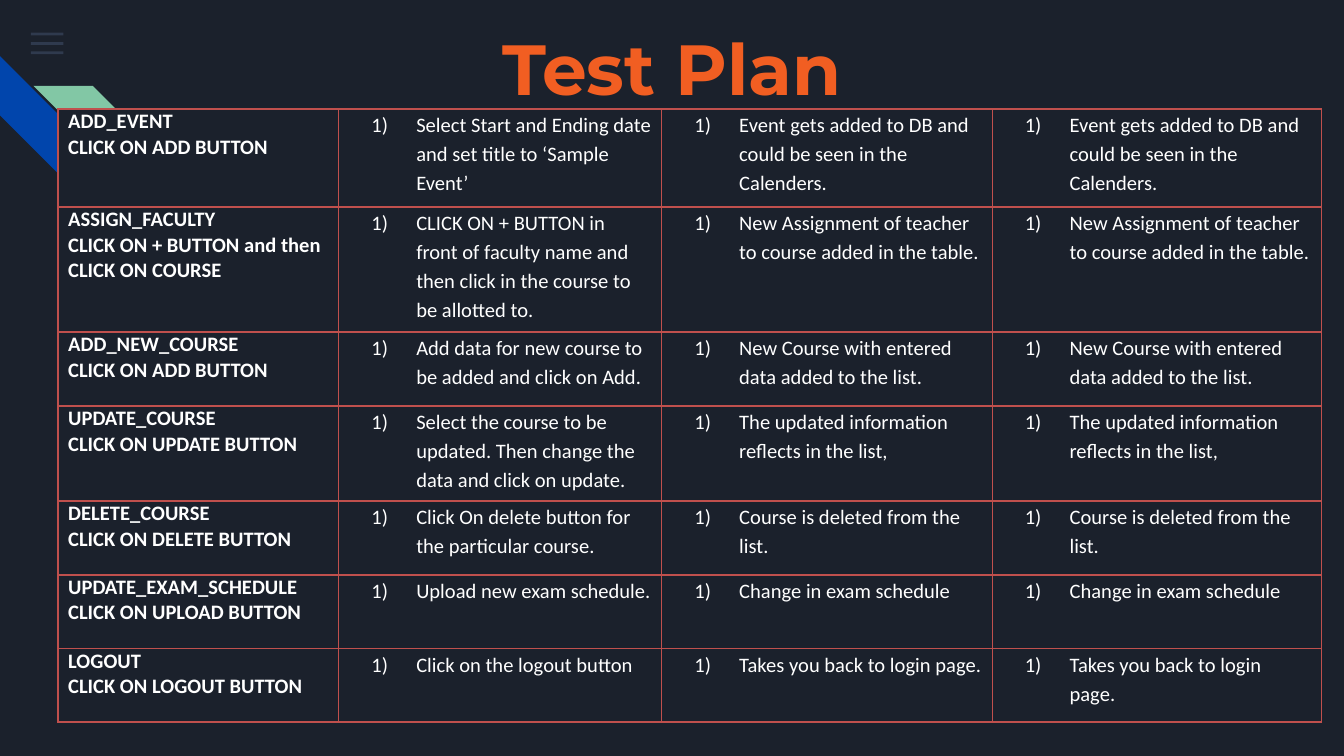
"""Build the Test Plan slide with its table of test cases."""
from dataclasses import dataclass

from lxml import etree
from pptx import Presentation
from pptx.dml.color import RGBColor
from pptx.enum.shapes import MSO_SHAPE
from pptx.enum.text import MSO_ANCHOR, MSO_AUTO_SIZE, PP_ALIGN
from pptx.oxml.ns import qn
from pptx.util import Pt

PX = 6350
WIDTH, HEIGHT = 1440, 810
RECT, STRIPE = MSO_SHAPE.RECTANGLE, MSO_SHAPE.DIAGONAL_STRIPE
MIDDLE, CENTER, NO_FIT = MSO_ANCHOR.MIDDLE, PP_ALIGN.CENTER, MSO_AUTO_SIZE.NONE


@dataclass(frozen=True)
class Theme:
    dark: str = "1B212C"
    title: str = "F15E22"
    text: str = "FFFFFF"
    border: str = "C0504D"
    menu: str = "55688B"
    blue: str = "0145AC"
    green: str = "82C7A5"
    heading: str = "Montserrat"
    body: str = "Calibri"
    title_pt: int = 38
    body_pt: int = 11


@dataclass(frozen=True)
class Decor:
    kind: int
    box: tuple[int, int, int, int]
    color: str
    alpha: int = 100
    rotation: int = 0
    flip: bool = False


@dataclass(frozen=True)
class Case:
    name: str
    action: str
    step: str
    outcome: str
    height: int
    after: int = 10


T = Theme()
TITLE_FONT = {"name": T.heading, "size": Pt(T.title_pt), "bold": True}
NAME_FONT = {"name": T.body, "size": Pt(T.body_pt), "bold": True}
STEP_FONT = {**NAME_FONT, "bold": False}
MARGINS = {"margin_left": 11 * PX, "margin_right": 11 * PX, "margin_top": 0, "margin_bottom": 0}
INDENT = {"marL": 72 * PX, "indent": -48 * PX}
COLS = (301, 346, 354, 353)

DECOR = [Decor(RECT, (33, y, 35, 3), T.menu, alpha=36) for y in (35, 45, 55)] + [
    Decor(STRIPE, (0, 60, 127, 127), T.blue, rotation=270),
    Decor(STRIPE, (36, 92, 127, 127), T.green, flip=True),
]

CASES = [
    Case("ADD_EVENT", "CLICK ON ADD BUTTON",
         "Select Start and Ending date and set title to ‘Sample Event’",
         "Event gets added to DB and could be seen in the Calenders.", 105, 0),
    Case("ASSIGN_FACULTY", "CLICK ON + BUTTON and then CLICK ON COURSE",
         "CLICK ON + BUTTON in front of faculty name and then click in the course to be allotted to.",
         "New Assignment of teacher to course added in the table.", 134),
    Case("ADD_NEW_COURSE", "CLICK ON ADD BUTTON",
         "Add data for new course to be added and click on Add.",
         "New Course with entered data added to the list.", 79),
    Case("UPDATE_COURSE", "CLICK ON UPDATE BUTTON",
         "Select the course to be updated. Then change the data and click on update.",
         "The updated information reflects in the list,", 102),
    Case("DELETE_COURSE", "CLICK ON DELETE BUTTON",
         "Click On delete button for the particular course.",
         "Course is deleted from the list.", 79),
    Case("UPDATE_EXAM_SCHEDULE", "CLICK ON UPLOAD BUTTON",
         "Upload new exam schedule.", "Change in exam schedule", 79),
    Case("LOGOUT", "CLICK ON LOGOUT BUTTON",
         "Click on the logout button", "Takes you back to login page.", 79, 0),
]


def apply(obj, values: dict) -> None:
    """Set each named attribute on an object."""
    for name, value in values.items():
        setattr(obj, name, value)


def paint(fill, color: str) -> None:
    """Give a fill one solid colour."""
    fill.solid()
    fill.fore_color.rgb = RGBColor.from_string(color)


def add_run(p, text: str, font: dict, color: str) -> None:
    """Add a formatted run to a paragraph."""
    r = p.add_run()
    r.text = text
    apply(r.font, font)
    r.font.color.rgb = RGBColor.from_string(color)


def add_color(parent, color: str) -> None:
    """Append an RGB colour element."""
    etree.SubElement(parent, qn("a:srgbClr"), val=color)


def draw_decor(s, d: Decor) -> None:
    """Draw one decorative shape."""
    sp = s.shapes.add_shape(d.kind, *(v * PX for v in d.box))
    sp.shadow.inherit = False
    sp.rotation = d.rotation
    paint(sp.fill, d.color)
    sp.line.fill.background()
    if d.flip:
        sp._element.spPr.find(qn("a:xfrm")).set("flipH", "1")
    if d.alpha < 100:
        clr = sp._element.spPr.find(".//" + qn("a:srgbClr"))
        etree.SubElement(clr, qn("a:alpha"), val=str(d.alpha * 1000))


def draw_title(s, text: str) -> None:
    """Place and format the slide title."""
    sp = s.shapes.title
    apply(sp, {"left": 0, "top": 0, "width": WIDTH * PX, "height": 144 * PX})
    tf = sp.text_frame
    apply(tf, {"word_wrap": True, "auto_size": NO_FIT, "vertical_anchor": MIDDLE})
    apply(tf, dict.fromkeys(MARGINS, 14 * PX))
    p = tf.paragraphs[0]
    p.alignment = CENTER
    add_run(p, text, TITLE_FONT, T.title)


def style_cell(cell, col: int) -> None:
    """Set the margins, borders and fill of a cell."""
    apply(cell, MARGINS)
    tc_pr = cell._tc.get_or_add_tcPr()
    thick_sides = {"L": col == 0, "R": col == len(COLS) - 1, "T": True, "B": True}
    for side, thick in thick_sides.items():
        ln = etree.SubElement(tc_pr, qn(f"a:ln{side}"), w=str(Pt(1 if thick else 0.5)))
        add_color(etree.SubElement(ln, qn("a:solidFill")), T.border)
    paint(cell.fill, T.dark)


def write_numbered(cell, text: str, after: int) -> None:
    """Write a numbered item into a cell."""
    p = cell.text_frame.paragraphs[0]
    p_pr = p._p.get_or_add_pPr()
    for name, value in INDENT.items():
        p_pr.set(name, str(value))
    add_color(etree.SubElement(p_pr, qn("a:buClr")), T.text)
    etree.SubElement(p_pr, qn("a:buFont"), typeface=T.body)
    etree.SubElement(p_pr, qn("a:buAutoNum"), type="arabicParenR")
    apply(p, {"line_spacing": 1.15, "space_after": Pt(after)})
    add_run(p, text, STEP_FONT, T.text)


def draw_table(s, left: int, top: int) -> None:
    """Draw the table of test cases."""
    width, height = sum(COLS), sum(c.height for c in CASES)
    box = (v * PX for v in (left, top, width, height))
    table = s.shapes.add_table(len(CASES), len(COLS), *box).table
    apply(table, {"first_row": False, "horz_banding": False})
    for column, w in zip(table.columns, COLS):
        column.width = w * PX
    for row, case in zip(table.rows, CASES):
        row.height = case.height * PX
        cells = list(row.cells)
        for col, cell in enumerate(cells):
            style_cell(cell, col)
        tf = cells[0].text_frame
        add_run(tf.paragraphs[0], case.name, NAME_FONT, T.text)
        add_run(tf.add_paragraph(), case.action, NAME_FONT, T.text)
        write_numbered(cells[1], case.step, 0)
        for cell in cells[2:]:
            write_numbered(cell, case.outcome, case.after)


def main() -> None:
    """Build and save the presentation."""
    prs = Presentation()
    apply(prs, {"slide_width": WIDTH * PX, "slide_height": HEIGHT * PX})
    s = prs.slides.add_slide(prs.slide_layouts[5])
    paint(s.background.fill, T.dark)
    for d in DECOR:
        draw_decor(s, d)
    draw_title(s, "Test Plan")
    draw_table(s, 62, 117)
    prs.save("out.pptx")


if __name__ == "__main__":
    main()
